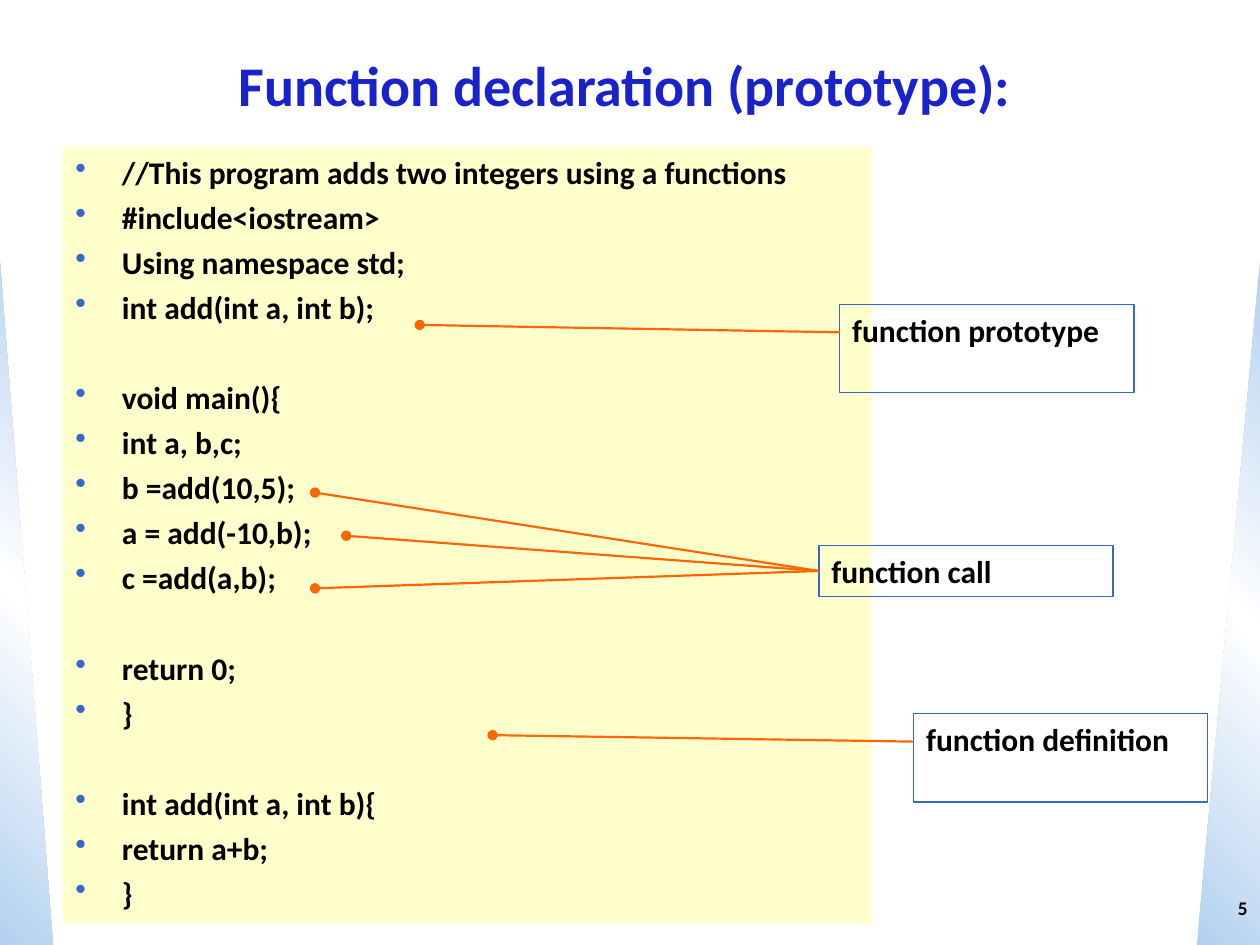
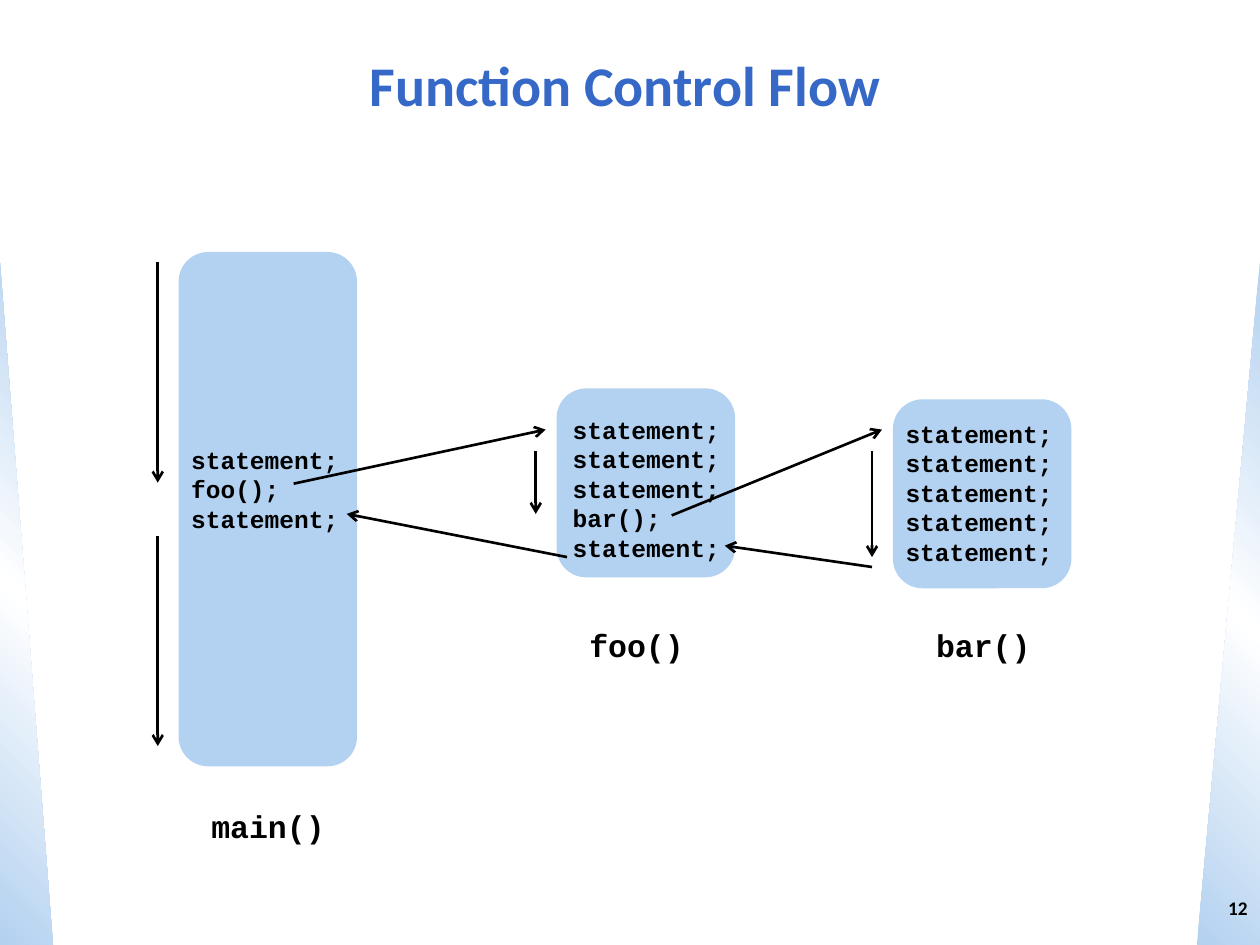
"""Build two slides on C++ function declaration and function control flow."""
import lxml.etree
import pptx
import pptx.dml.color
import pptx.enum.shapes
import pptx.enum.text
import pptx.oxml
import pptx.oxml.ns
import pptx.util

Cm = pptx.util.Cm
Pt = pptx.util.Pt
RGB = pptx.dml.color.RGBColor.from_string
SHAPE = pptx.enum.shapes.MSO_SHAPE
ALIGN = pptx.enum.text.PP_ALIGN
ANCHOR = pptx.enum.text.MSO_ANCHOR
qn = pptx.oxml.ns.qn

COLOURS = {
    "title": "1822CD",
    "blue": "3568C7",
    "pale": "B3D1F0",
    "white": "FFFFFF",
    "code": "FFFFCC",
    "orange": "FF6600",
    "black": "000000",
}


def write(paragraph, text, size, font="Calibri", colour="black", align=ALIGN.LEFT):
    paragraph.alignment = align
    run = paragraph.add_run()
    run.text = text
    run.font.size = Pt(size)
    run.font.name = font
    run.font.bold = True
    run.font.color.rgb = RGB(COLOURS[colour])


def draw_line(slide, start, end, colour, width, tail):
    line = slide.shapes.add_connector(
        pptx.enum.shapes.MSO_CONNECTOR.STRAIGHT, *map(Cm, start + end))
    line.line.color.rgb = RGB(COLOURS[colour])
    line.line.width = Pt(width)
    lxml.etree.SubElement(line.line._get_or_add_ln(), qn("a:tailEnd"), type=tail)
    lxml.etree.SubElement(line._element.spPr, qn("a:effectLst"))
    return line


deck = pptx.Presentation()
deck.slide_width = Cm(25.4)
deck.slide_height = Cm(19.05)

slides = []
for title, title_colour, number in [
    ("Function declaration (prototype):", "title", "5"),
    ("Function Control Flow", "blue", "12"),
]:
    slide = deck.slides.add_slide(deck.slide_layouts[6])
    slides.append(slide)

    for left, width, angle, flipped in [(0, 1.07, 315, False), (24.13, 1.27, 45, True)]:
        wedge = slide.shapes.add_shape(
            SHAPE.RIGHT_TRIANGLE, Cm(left), Cm(5.29), Cm(width), Cm(13.76))
        wedge.shadow.inherit = False
        wedge.line.fill.background()
        if flipped:
            wedge._element.spPr.xfrm.set("flipH", "1")
        wedge.fill.gradient()
        gradient = wedge._element.spPr.find(qn("a:gradFill"))
        for part in list(gradient):
            gradient.remove(part)
        stops = lxml.etree.SubElement(gradient, qn("a:gsLst"))
        for position, colour in [(0, "pale"), (50, "white"), (100, "pale")]:
            stop = lxml.etree.SubElement(stops, qn("a:gs"), pos=str(position * 1000))
            lxml.etree.SubElement(stop, qn("a:srgbClr"), val=COLOURS[colour])
        lxml.etree.SubElement(gradient, qn("a:lin"), ang=str(angle * 60000), scaled="1")

    for text, size, colour, align, place in [
        (title, 32, title_colour, ALIGN.CENTER, (0.64, 0.64, 23.92, 2.12)),
        (number, 11, "black", ALIGN.RIGHT, (24.13, 17.57, 1.27, 1.48)),
    ]:
        frame = slide.shapes.add_textbox(*map(Cm, place)).text_frame
        frame.word_wrap = True
        frame.vertical_anchor = ANCHOR.MIDDLE
        write(frame.paragraphs[0], text, size, colour=colour, align=align)

declaration, control_flow = slides

program = declaration.shapes.add_shape(
    SHAPE.RECTANGLE, Cm(1.27), Cm(2.96), Cm(16.3), Cm(15.66))
program.shadow.inherit = False
program.fill.solid()
program.fill.fore_color.rgb = RGB(COLOURS["code"])
program.line.fill.background()
program.text_frame.word_wrap = True
program.text_frame.vertical_anchor = ANCHOR.TOP

code_blocks = [
    ["//This program adds two integers using a functions", "#include<iostream>",
     "Using namespace std;", "int add(int a, int b);"],
    ["void main(){", "int a, b,c;", "b =add(10,5);", "a = add(-10,b);", "c =add(a,b);"],
    ["return 0;", "}"],
    ["int add(int a, int b){", "return a+b;", "}"],
]
for block_index, block in enumerate(code_blocks):
    for line_index, statement in enumerate(block):
        first = block_index == line_index == 0
        paragraph = (program.text_frame.paragraphs[0] if first
                     else program.text_frame.add_paragraph())
        properties = paragraph._p.get_or_add_pPr()
        properties.set("marL", str(Cm(0.94)))
        properties.set("indent", str(-Cm(0.94)))
        bullet_colour = lxml.etree.SubElement(properties, qn("a:buClr"))
        lxml.etree.SubElement(bullet_colour, qn("a:srgbClr"), val=COLOURS["blue"])
        lxml.etree.SubElement(properties, qn("a:buChar"), char="•")
        if not first:
            paragraph.space_before = Pt(4.1 if line_index else 30.2)
        write(paragraph, statement, 18)

for text, left, top, height, drop, targets in [
    ("function prototype", 16.93, 6.14, 1.78, 0.56, [(8.46, 6.55)]),
    ("function call", 16.51, 11, 1.02, 0.51, [(6.98, 10.8), (6.35, 11.86), (6.35, 9.93)]),
    ("function definition", 18.42, 14.39, 1.78, 0.56, [(9.93, 14.82)]),
]:
    callout = declaration.shapes.add_shape(
        SHAPE.RECTANGLE, Cm(left), Cm(top), Cm(5.93), Cm(height))
    callout.shadow.inherit = False
    callout.fill.background()
    callout.line.color.rgb = RGB(COLOURS["blue"])
    callout.line.width = Pt(0.75)
    callout.text_frame.word_wrap = True
    callout.text_frame.vertical_anchor = ANCHOR.TOP
    write(callout.text_frame.paragraphs[0], text, 18)
    for target in targets:
        pointer = draw_line(declaration, (left, top + drop), target, "orange", 1.25, "oval")
        if drop * 2 == height:
            pointer.begin_connect(callout, 1)

for name, left, top, height, inset, label_place, statements in [
    ("main()", 3.6, 5.08, 10.37, (0.08, 3.71), (4.01, 16.15),
     ["statement;", "foo();", "statement;"]),
    ("foo()", 11.22, 7.83, 3.81, (0.15, 0.36), (11.63, 12.5),
     ["statement;"] * 3 + ["bar();", "statement;"]),
    ("bar()", 18, 8.05, 3.81, (0.08, 0.22), (18.62, 12.5), ["statement;"] * 5),
]:
    body = control_flow.shapes.add_shape(
        SHAPE.ROUNDED_RECTANGLE, Cm(left), Cm(top), Cm(3.6), Cm(height))
    body.shadow.inherit = False
    body.fill.solid()
    body.fill.fore_color.rgb = RGB(COLOURS["pale"])
    body.line.fill.background()
    frame = body.text_frame
    frame.word_wrap = True
    frame.vertical_anchor = ANCHOR.TOP
    frame.margin_left, frame.margin_top = map(Cm, inset)
    frame.margin_right = frame.margin_bottom = 0
    for index, statement in enumerate(statements):
        paragraph = frame.add_paragraph() if index else frame.paragraphs[0]
        write(paragraph, statement, 14, "Courier New")

    label = control_flow.shapes.add_textbox(*map(Cm, label_place), Cm(2.8), Cm(1.02))
    label.text_frame.word_wrap = False
    write(label.text_frame.paragraphs[0], name, 18, "Courier New")

for start, end in [
    ((3.18, 5.28), (3.18, 9.73)),
    ((5.92, 9.75), (11, 8.66)),
    ((10.8, 9.09), (10.8, 10.36)),
    ((13.54, 10.39), (17.78, 8.66)),
    ((17.58, 9.09), (17.58, 11.23)),
    ((17.58, 11.43), (14.61, 11)),
    ((11.43, 11.23), (6.99, 10.36)),
    ((3.18, 10.8), (3.18, 15.04)),
]:
    draw_line(control_flow, start, end, "black", 1.5, "arrow")

deck.save("out.pptx")
